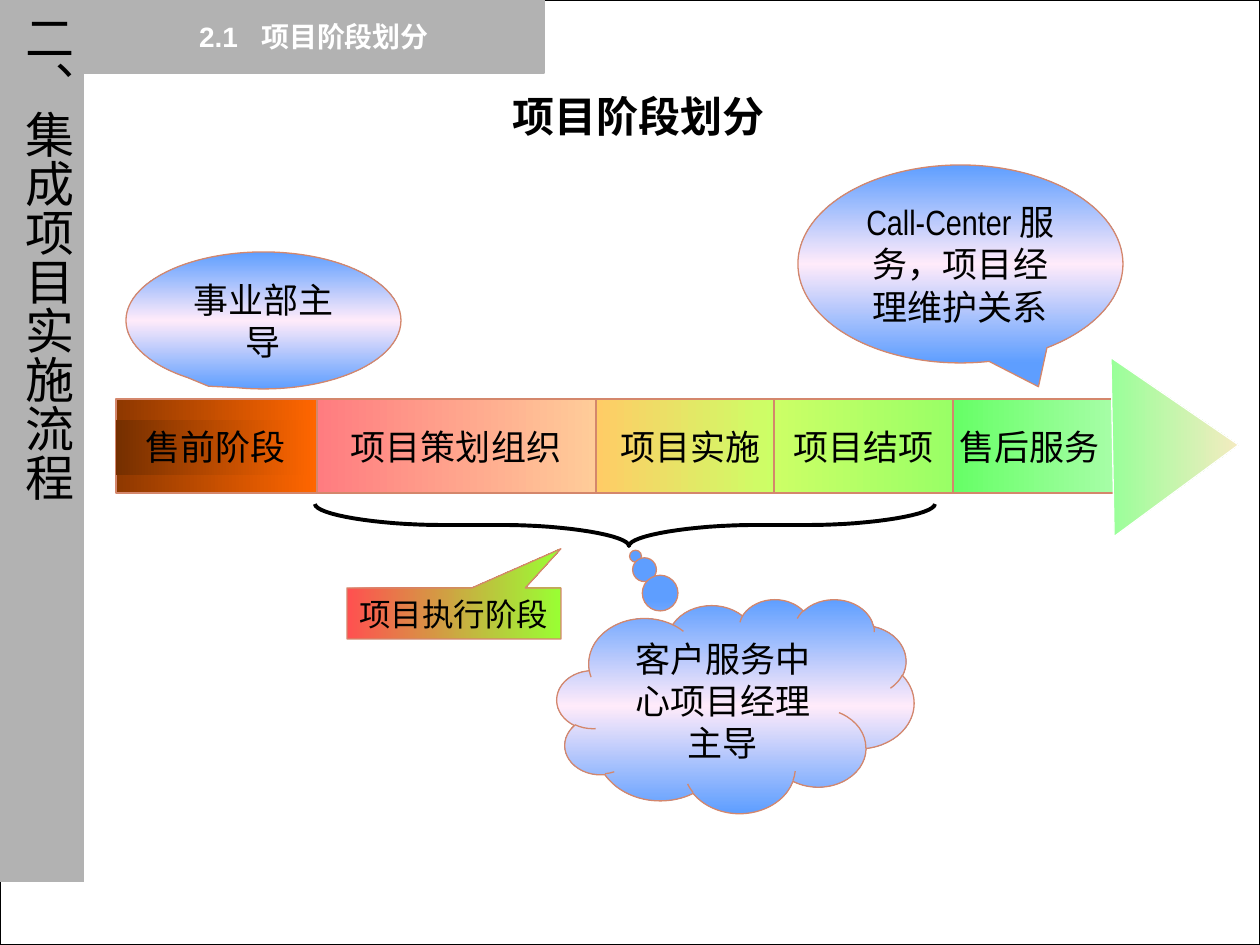
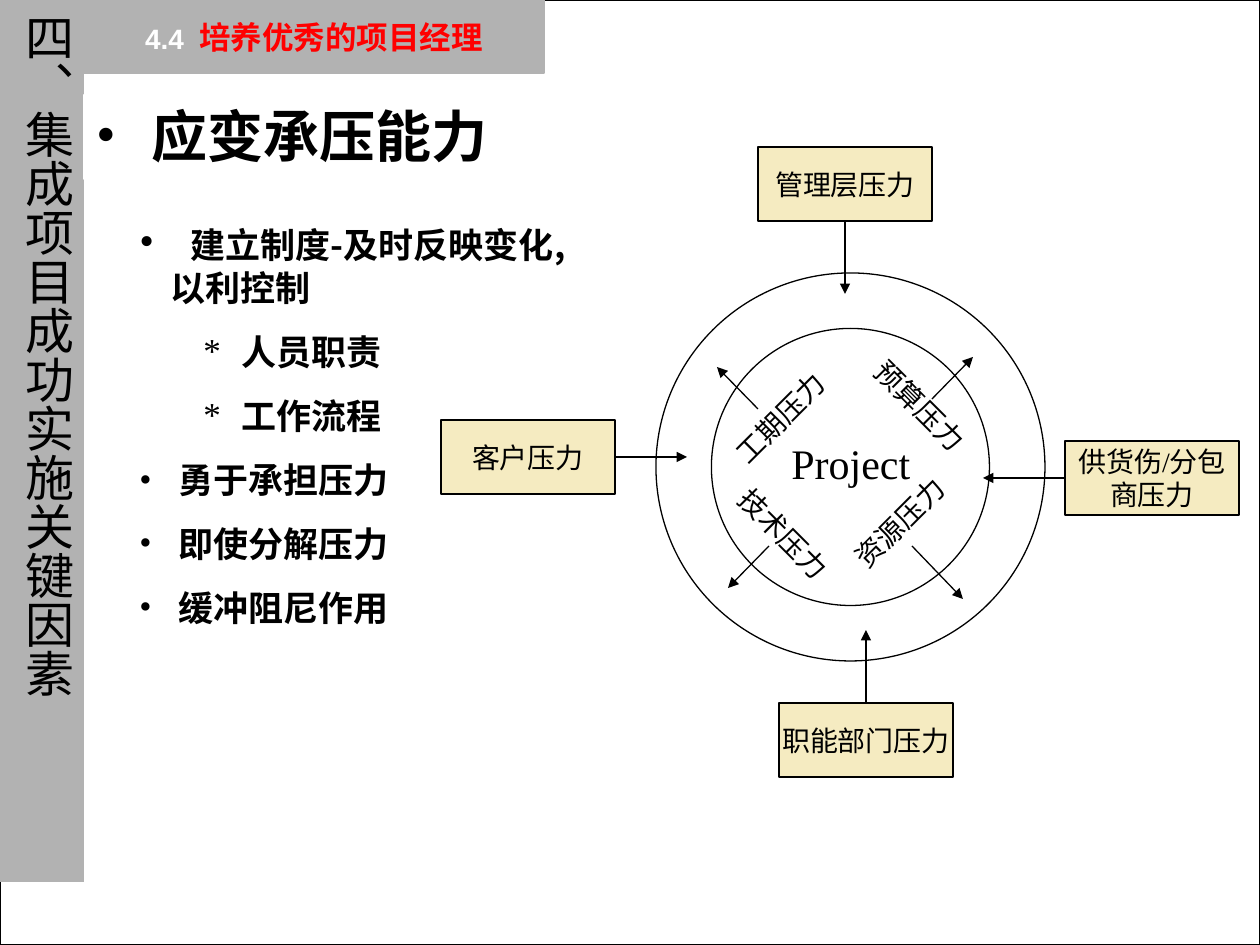
import lxml.etree
import pptx
import pptx.dml.color
import pptx.enum.shapes
import pptx.enum.text
import pptx.oxml.ns
import pptx.util

PX = 9144000 / 1260
KIND = pptx.enum.shapes.MSO_SHAPE
ALIGN = pptx.enum.text.PP_ALIGN
MID = pptx.enum.text.MSO_ANCHOR.MIDDLE
TOP = pptx.enum.text.MSO_ANCHOR.TOP
GROW = pptx.enum.text.MSO_AUTO_SIZE.SHAPE_TO_FIT_TEXT
qn = pptx.oxml.ns.qn
HUE = {
    "ink": "000000", "paper": "FFFFFF", "band": "B2B2B2", "alert": "FF0000",
    "rim": "D4876C", "sand": "F5EBC1", "sky": "5E9EFF", "blush": "FFEBFA",
    "rust": "8E3800", "bark": "752F00", "flame": "FF6600", "rose": "FF7C80",
    "peach": "FFCC99", "gold": "FFCC66", "lime": "CCFF66", "leaf": "99FF66",
    "green": "66FF66", "mint": "A9FEA9", "pale": "99FF99", "red": "FF5050",
    "grass": "99FF33",
}
NARROW, ARIAL, TIMES, NOTO = "Arial Narrow", "Arial", "Times New Roman", "Noto Sans CJK SC"
BUBBLE = ("sky", "blush", "sky")


def emu(*nums):
    return [round(num * PX) for num in nums]


def rgb(name):
    return pptx.dml.color.RGBColor.from_string(HUE[name])


def node(parent, tag, **attrs):
    return lxml.etree.SubElement(parent, qn(tag), attrs)


def style(run, size, font, hue="ink", bold=False, gap=0):
    run.font.size = pptx.util.Pt(size)
    run.font.name = font
    run.font.bold = bold
    run.font.color.rgb = rgb(hue)
    props = run.font._element
    if gap:
        props.set("spc", str(gap))
    face = lxml.etree.Element(qn("a:ea"), typeface=NOTO)
    props.find(qn("a:latin")).addnext(face)


def write(shape, lines, size, font, hue="ink", bold=False, align=ALIGN.CENTER,
          wrap=True, anchor=MID):
    frame = shape.text_frame
    frame.text = lines
    frame.word_wrap = wrap
    frame.vertical_anchor = anchor
    for para in frame.paragraphs:
        para.alignment = align
        for run in para.runs:
            style(run, size, font, hue, bold)
    return frame


def blend(shape, names, angle=0):
    shape.fill.background()
    props = shape.element.spPr
    grad = lxml.etree.Element(qn("a:gradFill"), rotWithShape="0")
    stops = node(grad, "a:gsLst")
    for i, name in enumerate(names):
        stop = node(stops, "a:gs", pos=str(100000 * i // (len(names) - 1)))
        node(stop, "a:srgbClr", val=HUE[name])
    node(grad, "a:lin", ang=str(angle * 60000), scaled="0")
    props.replace(props.find(qn("a:noFill")), grad)


def draw(slide, kind, box, fill=None, line=None, angle=0, adjust=()):
    shape = slide.shapes.add_shape(kind, *emu(*box))
    shape.shadow.inherit = False
    for i, value in enumerate(adjust):
        shape.adjustments[i] = value
    if isinstance(fill, tuple):
        blend(shape, fill, angle)
    elif fill:
        shape.fill.solid()
        shape.fill.fore_color.rgb = rgb(fill)
    else:
        shape.fill.background()
    if line:
        shape.line.color.rgb = rgb(line)
        shape.line.width = pptx.util.Pt(0.75)
    else:
        shape.line.fill.background()
    return shape


def label(slide, box, text, size, font, turn=0, **opts):
    shape = slide.shapes.add_textbox(*emu(*box))
    shape.rotation = turn
    write(shape, text, size, font, anchor=TOP, **opts)


def arrow(slide, start, end):
    kind = pptx.enum.shapes.MSO_CONNECTOR.STRAIGHT
    link = slide.shapes.add_connector(kind, *emu(*start, *end))
    link.line.color.rgb = rgb("ink")
    link.line.width = pptx.util.Pt(0.75)
    props = link.element.spPr
    node(props.find(qn("a:ln")), "a:tailEnd", type="triangle")
    node(props, "a:effectLst")
    return link


def bullet(para, mark, left, hang):
    props = para._p.get_or_add_pPr()
    props.set("marL", str(emu(left)[0]))
    props.set("indent", str(emu(-hang)[0]))
    node(node(props, "a:buClr"), "a:srgbClr", val=HUE["ink"])
    node(props, "a:buFont", typeface=TIMES)
    node(props, "a:buChar", char=mark)


def start(deck, chapter, number, topic, gap, look):
    slide = deck.slides.add_slide(deck.slide_layouts[6])
    draw(slide, KIND.RECTANGLE, (0, 0, 1260, 945), "paper", "ink")
    rail = draw(slide, KIND.RECTANGLE, (0, 0, 84, 882), "band")
    frame = write(rail, chapter, 28, NARROW, anchor=TOP)
    frame._txBody.bodyPr.set("vert", "eaVert")
    frame.auto_size = GROW
    frame.margin_left = frame.margin_right = emu(6)[0]
    frame.margin_top = frame.margin_bottom = emu(13)[0]
    head = draw(slide, KIND.RECTANGLE, (84, 0, 460, 73), "band", "band")
    para = write(head, number, 16, ARIAL, "paper", True).paragraphs[0]
    space, name = para.add_run(), para.add_run()
    space.text, name.text = " ", topic
    style(space, 16, ARIAL, "paper", True, gap)
    style(name, *look, True)
    return slide


def curve(a, b, c, d, steps=16):
    for i in range(1, steps + 1):
        t = i / steps
        u = 1 - t
        yield tuple(u**3 * p + 3 * u * u * t * q + 3 * u * t * t * r + t**3 * s
                    for p, q, r, s in zip(a, b, c, d))


def brace(slide, box):
    x, y, w, h = box
    tip, half = (x + 314, y + h), h / 2
    points = []
    for edge, flat in ((x, 63), (x + w, -63)):
        side = [(edge, y)]
        bend = (edge + 2 * flat, y + half)
        side += curve(side[0], (edge, y + half / 2), (edge + flat, y + half), bend)
        turn = (tip[0] - 2 * flat, y + half)
        side.append(turn)
        side += curve(turn, (tip[0] - flat, y + half), (tip[0], y + h * 3 / 4), tip)
        points += side if flat > 0 else side[::-1]
    points = [emu(*point) for point in points]
    path = slide.shapes.build_freeform(*points[0])
    path.add_line_segments(points[1:], close=False)
    shape = path.convert_to_shape()
    shape.shadow.inherit = False
    shape.fill.background()
    shape.line.color.rgb = rgb("ink")
    shape.line.width = pptx.util.Pt(2.25)


def stages(slide, box):
    x, y, w, h = box
    parts = [
        ("售前阶段", 0, 201, 0, 200, ("rust", "flame")),
        ("项目策划组织", 201, 279, 212, 256, ("rose", "peach")),
        ("项目实施", 480, 178, 480, 190, ("gold", "lime")),
        ("项目结项", 658, 179, 658, 179, ("lime", "leaf")),
        ("售后服务", 837, 167, 825, 178, ("green", "mint")),
    ]
    for text, left, wide, inset, span, fill in parts:
        draw(slide, KIND.RECTANGLE, (x + left, y, wide, h), fill, "rim")
    draw(slide, KIND.RECTANGLE, (x, y + 21, 200, 55), ("bark", "flame"))
    for text, left, wide, inset, span, fill in parts:
        label(slide, (x + inset, y + 20, span, 55), text, 20, NARROW)
    tip = draw(slide, KIND.FLOWCHART_EXTRACT, (x + w - 34, y - 16, 179, 126),
               ("pale", "sand"), "paper")
    tip.rotation = 89


def phases(deck):
    slide = start(deck, "二、集成项目实施流程", "2.1", "项目阶段划分", 890,
                  (16, ARIAL, "paper"))
    label(slide, (500, 84, 277, 63), "项目阶段划分", 24, NOTO, bold=True, wrap=False)
    oval = KIND.OVAL_CALLOUT
    for kind, box, adjust, text in (
        (oval, (126, 252, 275, 137), (-0.2, 0.48), "事业部主导"),
        (KIND.CLOUD_CALLOUT, (557, 599, 357, 214), (-0.28, -0.7),
         "客户服务中心项目经理主导"),
        (oval, (798, 165, 325, 198), (0.24, 0.62),
         "Call-Center 服务，项目经理维护关系"),
    ):
        note = draw(slide, kind, box, BUBBLE, "rim", 90, adjust)
        write(note, text, 20, NARROW)
    brace(slide, (315, 504, 620, 42))
    note = draw(slide, KIND.RECTANGULAR_CALLOUT, (347, 588, 214, 51),
                ("red", "grass"), "rim", adjust=(0.5, -1.27))
    write(note, "项目执行阶段", 18, NARROW, wrap=False)
    stages(slide, (116, 399, 1004, 94))


def points(slide, box):
    shape = slide.shapes.add_textbox(*emu(*box))
    rows = [
        ("•", "建立制度-及时反映变化,以利控制", 126, 31),
        ("*", "人员职责", 197, 38),
        ("*", "工作流程", 197, 38),
        ("•", "勇于承担压力", 134, 39),
        ("•", "即使分解压力", 134, 39),
        ("•", "缓冲阻尼作用", 134, 39),
    ]
    frame = write(shape, "\n".join(row[1] for row in rows), 20, NOTO, bold=True,
                  align=ALIGN.LEFT, anchor=TOP)
    for i, (para, (mark, text, left, hang)) in enumerate(zip(frame.paragraphs, rows)):
        bullet(para, mark, left, hang)
        if i:
            para.space_before = pptx.util.Pt(12.5)
    first = frame.paragraphs[0]
    first.text = " "
    style(first.runs[0], 24, TIMES, gap=600)
    run = first.add_run()
    run.text = rows[0][1]
    style(run, 20, NOTO, bold=True)


def forces(slide, box):
    x, y, w, h = box
    draw(slide, KIND.DONUT, (x + 215, y + 126, 389, 388), None, "ink", adjust=(0.143,))
    wide, high = 174, 74
    for text, left, top, side, dx, dy in (
        ("管理层压力", 317, 0, 2, 0, 73),
        ("职能部门压力", 338, 556, 0, 0, -73),
        ("客户压力", 0, 273, 3, 72, 0),
        ("供货伤/分包\n商压力", 624, 294, 1, -82, 0),
    ):
        left, top = x + left, y + top
        force = draw(slide, KIND.RECTANGLE, (left, top, wide, high), "sand", "ink")
        write(force, text, 16, TIMES, wrap=False)
        spot = (left + wide * (1 + (dx > 0) - (dx < 0)) / 2,
                top + high * (1 + (dy > 0) - (dy < 0)) / 2)
        link = arrow(slide, spot, (spot[0] + dx, spot[1] + dy))
        link.begin_connect(force, side)
    label(slide, (x + 338, y + 284, 154, 63), "Project", 24, TIMES, align=ALIGN.LEFT)
    for text, left, top, span, turn in (
        ("工期压力", 267, 237, 166, 315),
        ("预算压力", 409, 239, 147, 45),
        ("资源压力", 388, 346, 154, 315),
        ("技术压力", 271, 371, 158, 45),
    ):
        label(slide, (x + left, y + top, span, 47), text, 16, TIMES, turn,
              align=ALIGN.LEFT)
    for left, top, dx, dy in ((471, 399, 51, 53), (328, 399, -41, 42),
                              (491, 252, 41, -42), (317, 262, -41, -42)):
        arrow(slide, (x + left, y + top), (x + left + dx, y + top + dy))


def stress(deck):
    slide = start(deck, "四、集成项目成功实施关键因素", "4.4", "培养优秀的项目经理", 445,
                  (18, NARROW, "alert"))
    title = draw(slide, KIND.RECTANGLE, (84, 95, 1071, 84), "paper", "paper")
    frame = write(title, "应变承压能力", 32, TIMES, bold=True, align=ALIGN.LEFT, anchor=TOP)
    bullet(frame.paragraphs[0], "•", 55, 55)
    forces(slide, (441, 147, 798, 630))
    points(slide, (32, 210, 535, 425))


def main():
    deck = pptx.Presentation()
    deck.slide_width, deck.slide_height = emu(1260, 945)
    phases(deck)
    stress(deck)
    deck.save("out.pptx")


if __name__ == "__main__":
    main()
